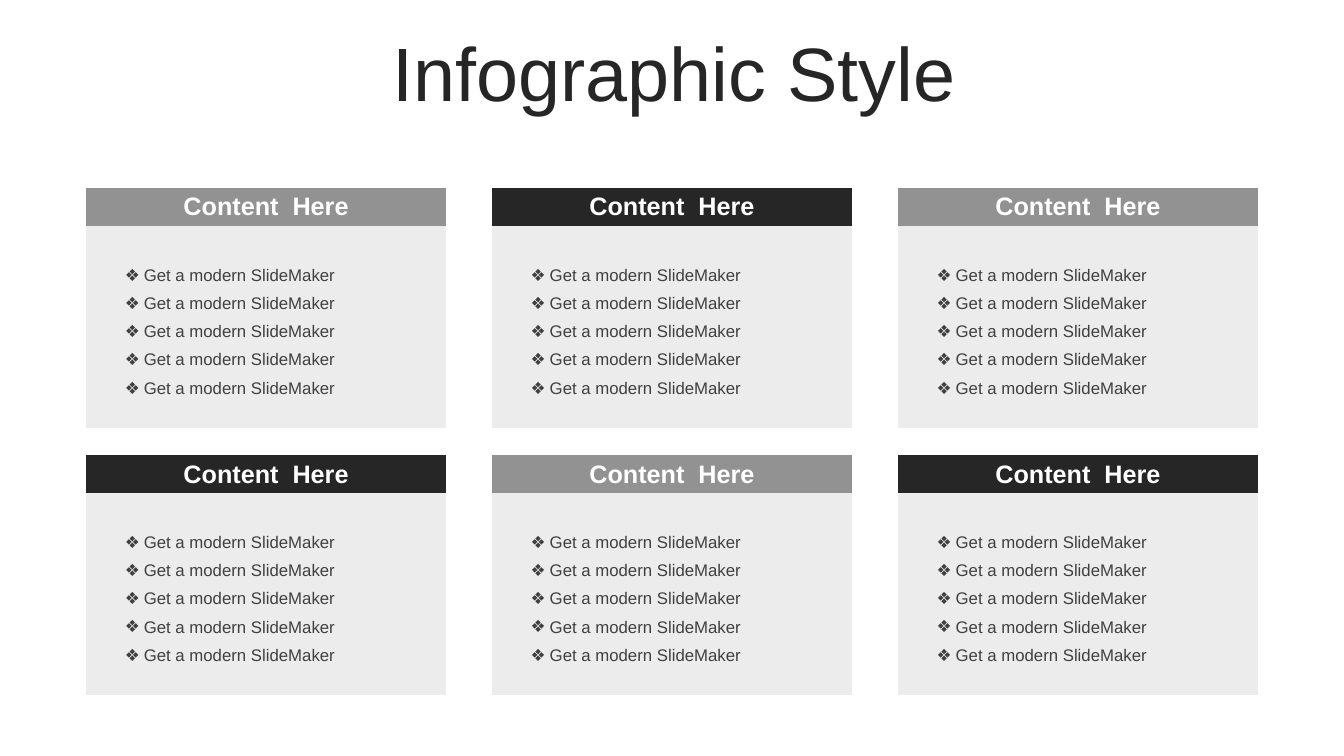
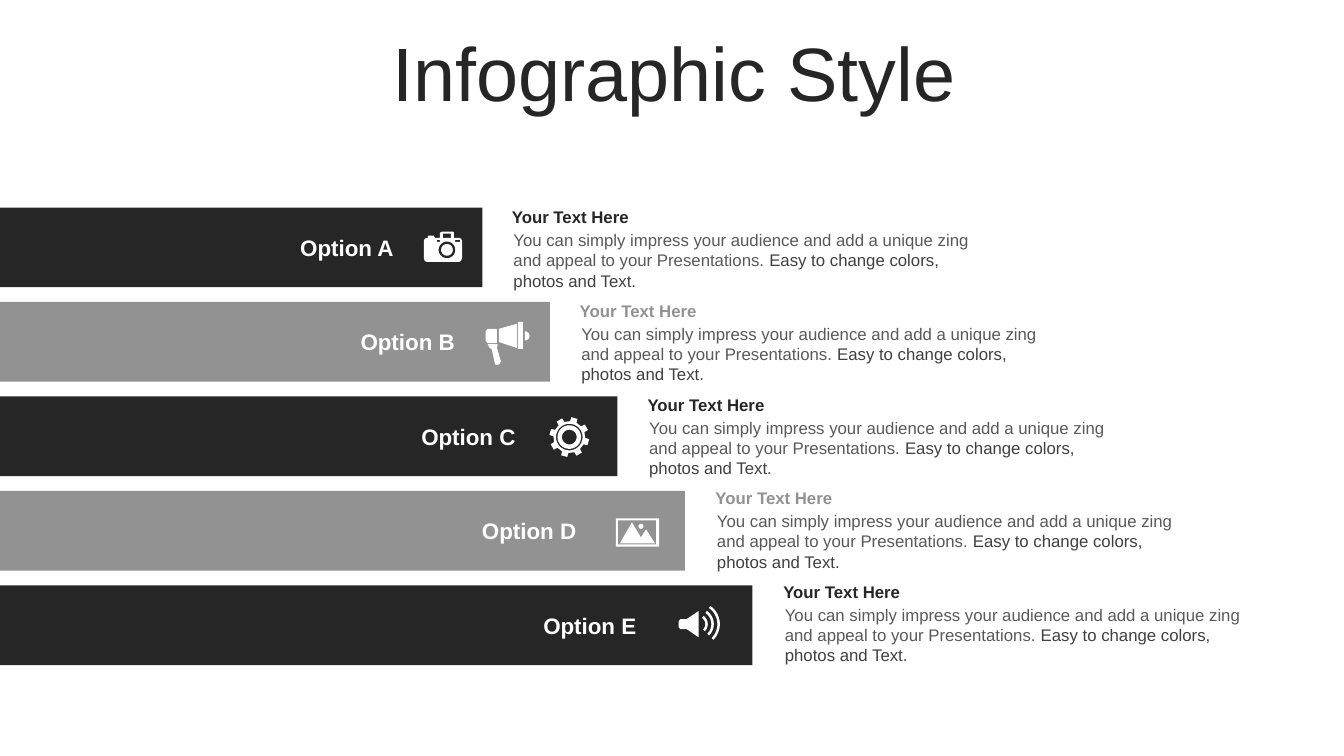
from dataclasses import dataclass
from math import cos, radians, sin

from lxml import etree
from pptx import Presentation
from pptx.dml.color import RGBColor
from pptx.enum.shapes import MSO_SHAPE
from pptx.enum.text import MSO_ANCHOR, PP_ALIGN
from pptx.oxml.ns import qn
from pptx.util import Cm, Pt

RECT = MSO_SHAPE.RECTANGLE
CENTER, LEFT = PP_ALIGN.CENTER, PP_ALIGN.LEFT
TOP, MIDDLE = MSO_ANCHOR.TOP, MSO_ANCHOR.MIDDLE

FONT = "Arial"
COLORS = {
    "dark": "262626",
    "gray": "929292",
    "panel": "ECECEC",
    "white": "FFFFFF",
    "item": "404040",
    "body": "595959",
}
NO_TABLE_STYLE = "{2D5ABB26-0587-4C30-8999-92F81FD0307C}"
ICON_UNIT = 0.0254  # cm per step of the icon grid

Outline = list[tuple[float, float]]


@dataclass
class Box:
    left: float
    top: float
    width: float
    height: float

    def emu(self) -> tuple:
        return Cm(self.left), Cm(self.top), Cm(self.width), Cm(self.height)


@dataclass
class TextStyle:
    size: float
    color: str
    bold: bool = False


@dataclass
class Icon:
    left: float
    top: float
    outlines: list[Outline]


@dataclass
class Option:
    label: str
    color: str
    icon: Icon


TITLE = TextStyle(54, "dark")
CARD_HEAD = TextStyle(18, "white", True)
CARD_ITEM = TextStyle(12, "item")
LABEL = TextStyle(16, "white", True)
BODY = TextStyle(12, "body")


# Shared helpers
def rgb(name: str) -> RGBColor:
    return RGBColor.from_string(COLORS[name])


def paint(sp, color: str) -> None:
    sp.shadow.inherit = False
    sp.fill.solid()
    sp.fill.fore_color.rgb = rgb(color)
    sp.line.fill.background()


def add_run(p, text: str, style: TextStyle) -> None:
    r = p.add_run()
    r.text = text
    r.font.name = FONT
    r.font.size = Pt(style.size)
    r.font.bold = style.bold
    r.font.color.rgb = rgb(style.color)


def add_text(s, box: Box, runs: list[tuple[str, TextStyle]],
             align=LEFT, anchor=TOP):
    tf = s.shapes.add_textbox(*box.emu()).text_frame
    tf.word_wrap = True
    tf.vertical_anchor = anchor
    p = tf.paragraphs[0]
    p.alignment = align
    for text, style in runs:
        add_run(p, text, style)
    return p


def add_slide(prs, title: str):
    s = prs.slides.add_slide(prs.slide_layouts[6])
    p = add_text(s, Box(0.9, 0.94, 32.17, 2.01), [(title, TITLE)],
                 CENTER, MIDDLE)
    p.line_spacing = 0.9
    return s


# Card tables
def set_bullet(p, char: str, indent: float) -> None:
    pPr = p._p.get_or_add_pPr()
    pPr.set("marL", str(Cm(indent)))
    pPr.set("indent", str(-Cm(indent)))
    etree.SubElement(pPr, qn("a:buFont")).set("typeface", FONT)
    etree.SubElement(pPr, qn("a:buChar")).set("char", char)


def add_card(s, left: float, top: float, color: str, head: str,
             items: list[str]) -> None:
    widths = [0.72, 7.63, 0.72]
    heights = [0.96] + [1.27] * 4
    box = Box(left, top, sum(widths), sum(heights))
    frame = s.shapes.add_table(len(heights), len(widths), *box.emu())
    for style_id in frame.element.iter(qn("a:tableStyleId")):
        style_id.text = NO_TABLE_STYLE
    table = frame.table
    table.first_row = table.horz_banding = False
    for column, width in zip(table.columns, widths):
        column.width = Cm(width)
    for row, height in zip(table.rows, heights):
        row.height = Cm(height)
    for i, row in enumerate(table.rows):
        for cell in row.cells:
            cell.fill.solid()
            cell.fill.fore_color.rgb = rgb("panel" if i else color)
            cell.vertical_anchor = MIDDLE
            cell.margin_top = cell.margin_bottom = Cm(0.1)

    head_cell, list_cell = table.cell(0, 0), table.cell(1, 1)
    head_cell.merge(table.cell(0, 2))
    list_cell.merge(table.cell(4, 1))
    p = head_cell.text_frame.paragraphs[0]
    p.alignment = CENTER
    add_run(p, head, CARD_HEAD)
    tf = list_cell.text_frame
    for i, item in enumerate(items):
        p = tf.add_paragraph() if i else tf.paragraphs[0]
        p.line_spacing = 1.5
        set_bullet(p, "❖", 0.48)
        add_run(p, item, CARD_ITEM)


# Icon outlines, on the icon grid
def rect(x1: float, y1: float, x2: float, y2: float) -> Outline:
    return [(x1, y1), (x2, y1), (x2, y2), (x1, y2)]


def arc(cx: float, cy: float, radius: float, start: float = 0,
        end: float = 360, steps: int = 32) -> Outline:
    angles = [radians(start + (end - start) * i / steps)
              for i in range(steps + 1)]
    return [(cx + radius * cos(a), cy + radius * sin(a)) for a in angles]


def wave(cx: float, cy: float, radius: float) -> Outline:
    return arc(cx, cy, radius, -55, 45) + arc(cx, cy, radius - 2.5, 45, -55)


def gear(cx: float, cy: float, teeth: int, root: float, tip: float) -> Outline:
    corners = [(-12, root), (-9, tip), (9, tip), (12, root)]
    return [(cx + radius * cos(a), cy + radius * sin(a))
            for i in range(teeth) for turn, radius in corners
            for a in [radians(360 * i / teeth - 75 + turn)]]


def add_icon(s, icon: Icon) -> None:
    paths = [[(Cm(x * ICON_UNIT), Cm(y * ICON_UNIT)) for x, y in outline]
             for outline in icon.outlines]
    pen = s.shapes.build_freeform(*paths[0][0])
    for i, path in enumerate(paths):
        if i:
            pen.move_to(*path[0])
        pen.add_line_segments(path[1:], close=True)
    paint(pen.convert_to_shape(Cm(icon.left), Cm(icon.top)), "white")


CAMERA = Icon(10.68, 5.84, [
    [(18, 0), (29, 0), (30, 1), (30, 6), (35, 6), (37, 7), (38, 9), (38, 26),
     (37, 29), (35, 30), (3, 30), (1, 29), (0, 26), (0, 9), (1, 7), (3, 6),
     (4, 6), (4, 4), (10, 4), (11, 6), (16, 6), (16, 1)],
    arc(23, 18, 8.3), arc(23, 18, 5.8),
    rect(13, 8, 16, 10), rect(31, 8, 36, 10), rect(19, 2, 27, 6),
])
MEGAPHONE = Icon(12.24, 8.11, [
    [(2, 22), (11, 22), (12, 23), (11, 25), (15, 39), (14, 42), (10, 43),
     (9, 41), (6, 27), (4, 26)],
    [(2, 7), (11, 7), (11, 21), (2, 21), (0, 19), (0, 9)],
    [(31, 2), (31, 26), (13, 20), (13, 7)],
    rect(32, 0, 37, 27),
    arc(39, 14, 4.5, -90, 90),
])
GEAR = Icon(13.84, 10.52, [
    gear(20, 19.5, 8, 15.8, 19.8),
    arc(20, 19.5, 13.2), arc(20, 19.5, 11.7), arc(20, 19.5, 7.3),
])
PHOTO = Icon(15.52, 13.06, [
    rect(0, 0, 43, 28), rect(2, 2, 40, 26),
    [(16, 4), (25, 19), (30, 11), (39, 25), (4, 25)],
    arc(25, 8, 2.5),
])
SPEAKER = Icon(17.1, 15.27, [
    [(20, 5), (20, 31), (8, 23), (2, 23), (0, 21), (0, 15), (2, 13), (8, 13)],
    *[wave(19, 18, radius) for radius in (10, 16, 22)],
])
OPTIONS = [
    Option("Option A", "dark", CAMERA),
    Option("Option B", "gray", MEGAPHONE),
    Option("Option C", "dark", GEAR),
    Option("Option D", "gray", PHOTO),
    Option("Option E", "dark", SPEAKER),
]


# Option bars
def add_option(s, i: int, option: Option) -> None:
    step = 2.38 * i
    bar = s.shapes.add_shape(
        RECT, *Box(0, 5.23 + step, 12.16 + 1.7 * i, 2.01).emu())
    paint(bar, option.color)
    add_text(s, Box(7.07 + 1.53 * i, 5.77 + step, 3.35, 0.94),
             [(option.label, LABEL)], CENTER)
    add_icon(s, option.icon)
    left, top = 12.65 + 1.71 * i, 5.09 + 2.36 * i
    add_text(s, Box(left + 0.04, top + 0.58, 12.09, 1.8), [
        ("You can simply impress your audience and add a unique zing "
         "and appeal to your Presentations. ", BODY),
        ("Easy to change colors, photos and Text.", CARD_ITEM),
    ])
    add_text(s, Box(left, top, 11.99, 0.76),
             [("Your Text Here", TextStyle(12, option.color, True))])


def main() -> None:
    prs = Presentation()
    prs.slide_width, prs.slide_height = Cm(33.87), Cm(19.05)

    # Slide 1: grid of cards
    s = add_slide(prs, "Infographic Style")
    for row in range(2):
        for col in range(3):
            color = "dark" if (row + col) % 2 else "gray"
            add_card(s, 2.17 + 10.23 * col, 4.74 + 6.73 * row, color,
                     "Content  Here", ["Get a modern SlideMaker"] * 5)

    # Slide 2: staircase of options
    s = add_slide(prs, "Infographic Style")
    for i, option in enumerate(OPTIONS):
        add_option(s, i, option)

    prs.save("out.pptx")


if __name__ == "__main__":
    main()
